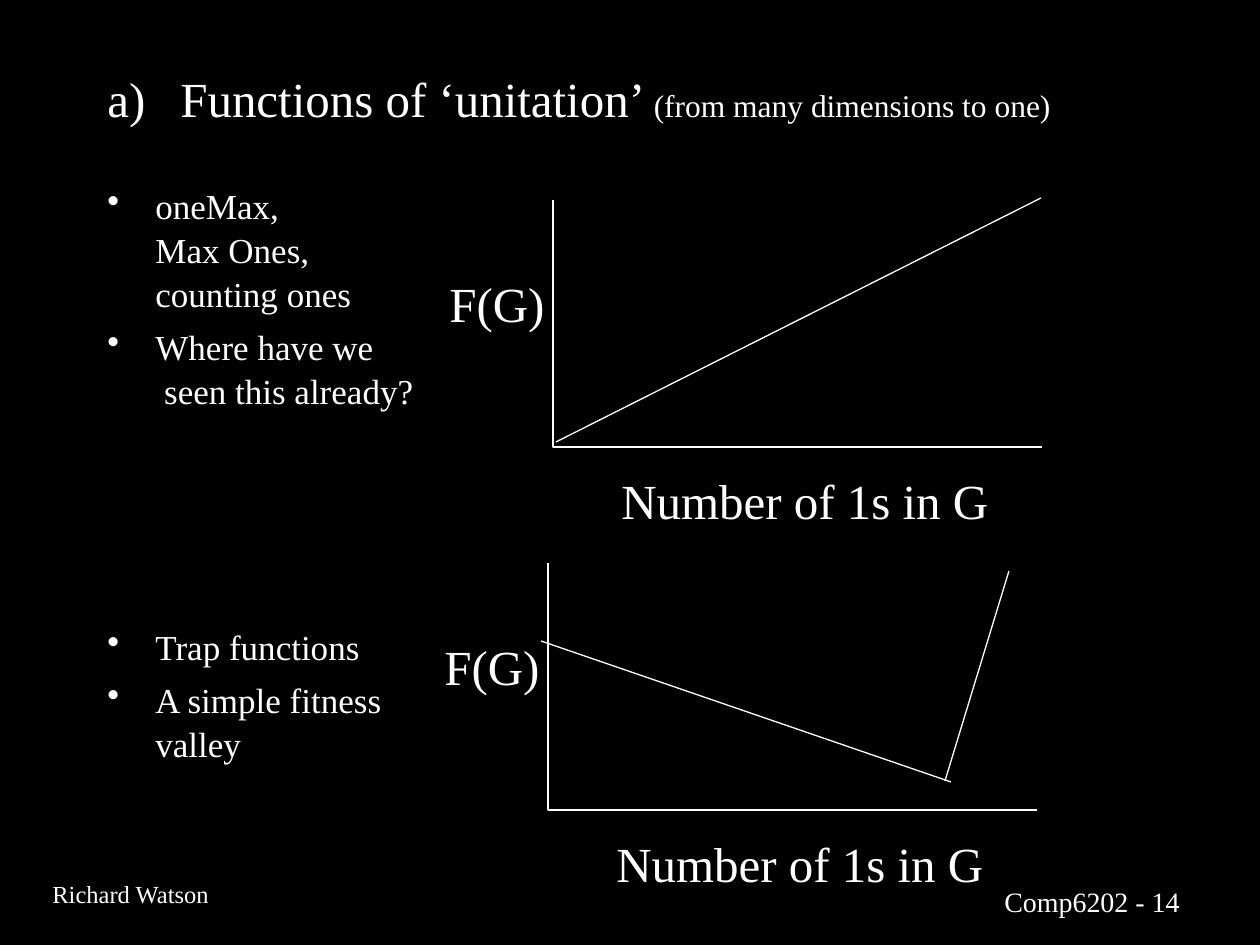
import pptx
import pptx.dml.color
import pptx.enum.shapes
import pptx.enum.text
import pptx.oxml
import pptx.util
import lxml.etree

PX = 914400 // 126
THEME = dict(
    font="Times New Roman",
    ink=pptx.dml.color.RGBColor(0xFF, 0xFF, 0xFF),
    paper=pptx.dml.color.RGBColor(0x00, 0x00, 0x00),
    label=28, note=18, body=20, page=16, author=14, line=0.75,
)

prs = pptx.Presentation()
prs.slide_width, prs.slide_height = 1260 * PX, 945 * PX
s = prs.slides.add_slide(prs.slide_layouts[6])
s.background.fill.solid()
s.background.fill.fore_color.rgb = THEME["paper"]


def add_text(x, y, w, h, paragraphs, wrap=False):
    """Add a box; each paragraph is a list of (text, theme size) runs."""
    tf = s.shapes.add_textbox(x * PX, y * PX, w * PX, h * PX).text_frame
    tf.word_wrap = wrap
    for i, runs in enumerate(paragraphs):
        p = tf.paragraphs[0] if i == 0 else tf.add_paragraph()
        for text, size in runs:
            for j, line in enumerate(text.split("\n")):
                if j:
                    p.add_line_break()
                r = p.add_run()
                r.text = line
                r.font.name = THEME["font"]
                r.font.size = pptx.util.Pt(THEME[size])
                r.font.color.rgb = THEME["ink"]
    return tf


def hang(p, indent, tag, **attributes):
    """Give a paragraph a hanging bullet or number."""
    pPr = p._p.get_or_add_pPr()
    pPr.set("marL", str(indent * PX))
    pPr.set("indent", str(-indent * PX))
    bullet = lxml.etree.SubElement(pPr, pptx.oxml.ns.qn(tag))
    for name, value in attributes.items():
        bullet.set(name, value)


# Footer
add_text(992, 878, 250, 45, [[("Comp6202 - 14", "page")]])
add_text(40, 873, 184, 43, [[("Richard Watson", "author")]])

# Title
tf = add_text(95, 52, 1071, 92, [[
    ("Functions of ‘unitation’ ", "label"),
    ("(from many dimensions to one)", "note"),
]], wrap=True)
tf.vertical_anchor = pptx.enum.text.MSO_ANCHOR.MIDDLE
hang(tf.paragraphs[0], 73, "a:buAutoNum", type="alphaLcParenR")

# Bullets: the second pair sits beside the lower graph
bullets = [
    ("oneMax,\nMax Ones,\ncounting ones", 0),
    ("Where have we\n seen this already?", 5),
    ("Trap functions", 121),
    ("A simple fitness valley", 5),
]
tf = add_text(95, 176, 359, 696, [[(text, "body")] for text, _ in bullets], wrap=True)
for p, (_, before) in zip(tf.paragraphs, bullets):
    hang(p, 48, "a:buChar", char="•")
    p.space_before = pptx.util.Pt(before)
    p.line_spacing = 1.05

# Graphs: top of the vertical axis, then the curve segments
graphs = [
    (553, 200, [(556, 442, 1041, 198)]),
    (548, 563, [(541, 641, 951, 782), (1009, 571, 945, 781)]),
]
for x, y, segments in graphs:
    builder = s.shapes.build_freeform(x, y, scale=PX)
    builder.add_line_segments([(x, y + 247), (x + 489, y + 247)], close=False)
    axes = builder.convert_to_shape()
    axes.shadow.inherit = False
    axes.fill.background()
    strokes = [axes]
    for ends in segments:
        curve = s.shapes.add_connector(
            pptx.enum.shapes.MSO_CONNECTOR.STRAIGHT, *[v * PX for v in ends])
        lxml.etree.SubElement(curve._element.spPr, pptx.oxml.ns.qn("a:effectLst"))
        strokes.append(curve)
    for stroke in strokes:
        stroke.line.color.rgb = THEME["ink"]
        stroke.line.width = pptx.util.Pt(THEME["line"])
    add_text(x - 116, y + 67, 120, 72, [[("F(G)", "label")]])
    add_text(x + 56, y + 264, 392, 72, [[("Number of 1s in G", "label")]])

prs.save("out.pptx")
